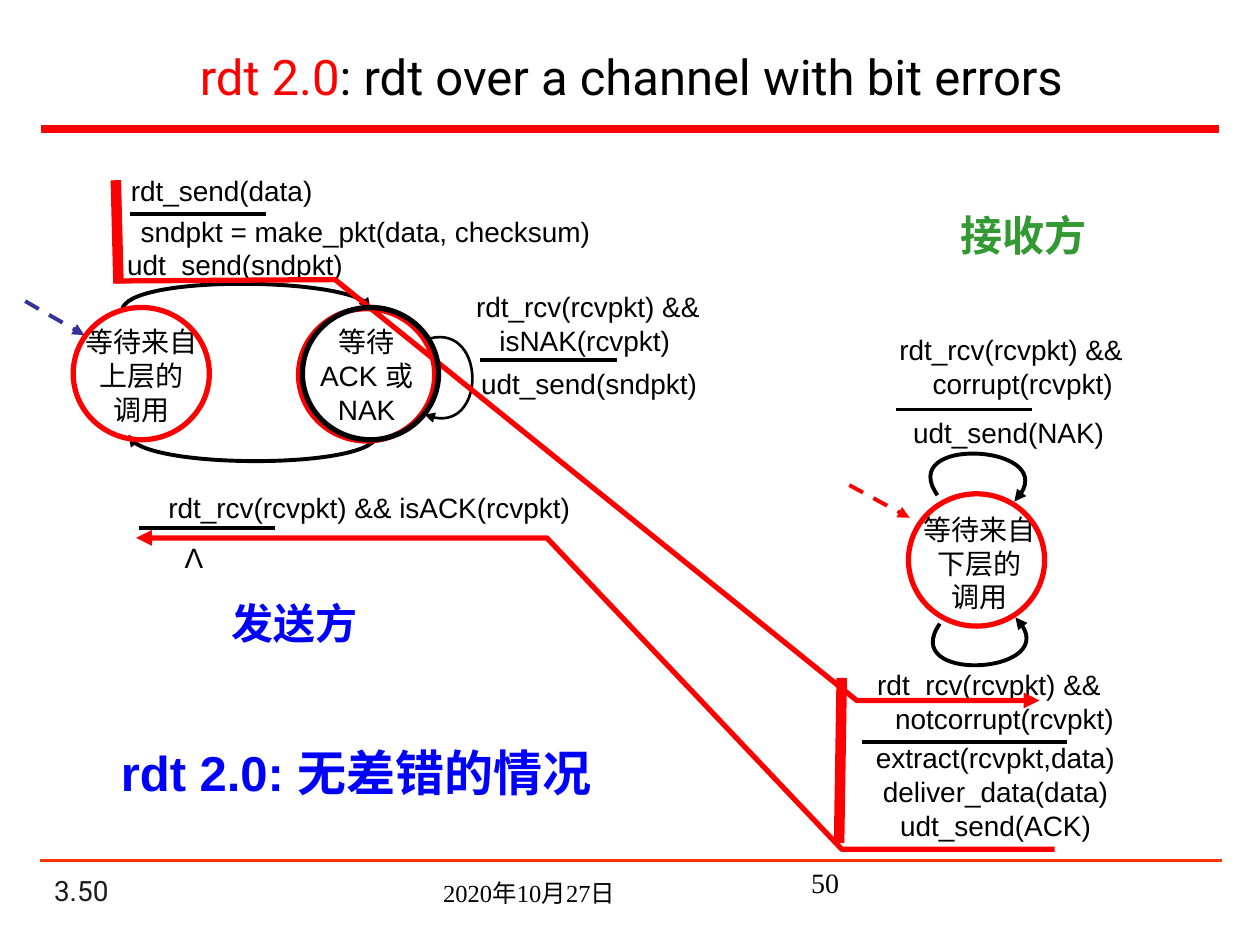
"""Build the rdt 2.0 state machine slide for the error-free case."""

from lxml.etree import SubElement
from pptx import Presentation
from pptx.dml.color import RGBColor
from pptx.enum.dml import MSO_LINE_DASH_STYLE as Dash
from pptx.enum.shapes import MSO_CONNECTOR as Connector, MSO_SHAPE as Shape
from pptx.enum.text import MSO_ANCHOR as Anchor, PP_ALIGN as Align
from pptx.oxml.ns import qn
from pptx.util import Pt

BLACK = RGBColor(0x00, 0x00, 0x00)
WHITE = RGBColor(0xFF, 0xFF, 0xFF)
RED = RGBColor(0xFF, 0x00, 0x00)
ORANGE = RGBColor(0xFF, 0x33, 0x00)
BLUE = RGBColor(0x00, 0x00, 0xFF)
INDIGO = RGBColor(0x33, 0x33, 0x99)
GREEN = RGBColor(0x33, 0x99, 0x33)
CHARCOAL = RGBColor(0x1C, 0x1C, 0x1C)

STATE_SIZE = (77.8, 75.6)
WAIT_CALL = (41.8, 175.7)
WAIT_ACK = (170.6, 176.4)
ACTIVE_ACK = (172.8, 175.7)
WAIT_BELOW = (519.1, 282.2)


def add_text(slide, box, lines, size=16, font="Arial", color=BLACK, bold=False,
             align=Align.CENTER, anchor=Anchor.TOP, wrap=True, indent=0):
    """Add a text box; indent applies to the lines after the first."""
    frame = slide.shapes.add_textbox(*map(Pt, box)).text_frame
    frame.word_wrap = wrap
    frame.vertical_anchor = anchor
    for index, line in enumerate(lines):
        paragraph = frame.paragraphs[0] if index == 0 else frame.add_paragraph()
        if index and indent:
            properties = paragraph._p.get_or_add_pPr()
            properties.set("marL", str(Pt(indent)))
            properties.set("indent", "0")
        paragraph.alignment = align
        paragraph.font.size = Pt(size)
        paragraph.font.name = font
        paragraph.font.bold = bold
        paragraph.font.color.rgb = color
        paragraph.add_run().text = line
    return frame


def style_line(shape, color, width, arrow=False):
    """Set the stroke of a shape and its optional end arrow."""
    shape.line.color.rgb = color
    shape.line.width = Pt(width)
    if arrow:
        stroke = shape._element.spPr.find(qn("a:ln"))
        SubElement(stroke, qn("a:tailEnd"), type="triangle")


def add_line(slide, start, end, color=BLACK, width=2.25, dashed=False):
    """Add a straight line, with an arrowhead when dashed."""
    line = slide.shapes.add_connector(
        Connector.STRAIGHT, *map(Pt, (*start, *end)))
    line.line.color.rgb = color
    if dashed:
        line.line.dash_style = Dash.DASH
    style_line(line, color, width, arrow=dashed)
    SubElement(line._element.spPr, qn("a:effectLst"))


def add_route(slide, points, color, width):
    """Add an open polyline that ends in an arrowhead."""
    start, *rest = [(Pt(x), Pt(y)) for x, y in points]
    builder = slide.shapes.build_freeform(*start)
    builder.add_line_segments(rest, close=False)
    route = builder.convert_to_shape()
    route.shadow.inherit = False
    route.fill.background()
    style_line(route, color, width, arrow=True)
    return route


def add_transition(slide, points, width=2.25):
    """Add a black Bezier arrow from its four control points."""
    route = add_route(slide, points, BLACK, width)
    outline = route._element.xpath(".//a:path")[0]
    segments = outline.findall(qn("a:lnTo"))
    curve = SubElement(outline, qn("a:cubicBezTo"))
    for segment in segments:
        curve.append(segment[0])
        outline.remove(segment)


def add_state(slide, position, color=BLACK, width=1.5, filled=False):
    """Add a state circle, or only its ring."""
    state = slide.shapes.add_shape(
        Shape.OVAL, *map(Pt, (*position, *STATE_SIZE)))
    state.shadow.inherit = False
    if filled:
        state.fill.solid()
        state.fill.fore_color.rgb = WHITE
    else:
        state.fill.background()
    style_line(state, color, width)


def add_frame(slide):
    """Add the title, the rules and the footer."""
    add_text(slide, (23.8, 504, 149.8, 18), ["3.50"], font="Roboto",
             color=CHARCOAL, align=Align.LEFT, anchor=Anchor.BOTTOM)
    rule = slide.shapes.add_shape(Shape.RECTANGLE, Pt(23.8), Pt(72), Pt(672.5), Pt(3.6))
    rule.shadow.inherit = False
    rule.fill.solid()
    rule.fill.fore_color.rgb = RED
    style_line(rule, RED, 1)
    add_line(slide, (23, 491.8), (698.4, 491.8), ORANGE, 1.5)
    add_text(slide, (246.2, 498.2, 275.8, 24.5), ["2020年10月27日"], 14,
             "Times New Roman", align=Align.LEFT)
    add_text(slide, (456.5, 491, 228.2, 36), ["50"],
             font="Times New Roman", align=Align.LEFT)
    title = add_text(slide, (28.8, 18, 663.8, 50.4), ["rdt 2.0"], 28, "Roboto",
                     anchor=Anchor.MIDDLE).paragraphs[0]
    title.runs[0].font.color.rgb = RED
    title.add_run().text = ": rdt over a channel with bit errors"


def add_sender(slide):
    """Add the sender's states and transitions."""
    add_state(slide, WAIT_CALL, filled=True)
    add_text(slide, (33.8, 182.2, 94.3, 48.2), ["等待来自", "上层的", "调用"])
    action = add_text(slide, (65.5, 118.8, 286.6, 31.7),
                      ["sndpkt = make_pkt(data, checksum)", "udt_send(sndpkt)"])
    action.paragraphs[1].alignment = Align.LEFT
    add_line(slide, (74.2, 122.4), (151.9, 122.4))
    add_transition(slide, [(69.8, 177.1), (72.7, 157.7), (211.7, 158.4), (211.7, 177.1)])
    add_transition(slide, [(215.3, 248.4), (215.3, 267.1), (77, 268.6), (73.4, 248.4)])
    add_text(slide, (71.3, 276.5, 279.4, 22.3), ["rdt_rcv(rcvpkt) && isACK(rcvpkt)"])
    add_line(slide, (79.2, 301.7), (157, 301.7))
    add_transition(slide, [(242.6, 194.4), (277.2, 181.4), (279.4, 252), (242.6, 236.9)], 1.5)
    add_text(slide, (267.1, 205.9, 139, 31.7), ["udt_send(sndpkt)"])
    add_text(slide, (265, 162, 164.2, 49.7), ["rdt_rcv(rcvpkt) &&", "isNAK(rcvpkt)"],
             align=Align.LEFT, indent=13.3)
    add_line(slide, (274.3, 205.9), (352.8, 205.9))
    add_state(slide, WAIT_ACK, filled=True)
    add_text(slide, (167, 182.2, 85, 48.2), ["等待", "ACK 或 NAK"])
    add_text(slide, (67.7, 95.8, 177.8, 33.8), ["rdt_send(data)"], align=Align.LEFT)
    add_text(slide, (97.9, 305.3, 25.9, 26.6), ["Λ"], wrap=False)


def add_receiver(slide):
    """Add the receiver's state and transitions."""
    add_text(slide, (484.6, 419.8, 168.5, 49),
             ["extract(rcvpkt,data)", "deliver_data(data)", "udt_send(ACK)"])
    add_text(slide, (482.4, 378, 169.9, 55.4),
             ["rdt_rcv(rcvpkt) && ", "notcorrupt(rcvpkt)"], indent=13.3)
    add_line(slide, (492.5, 424.1), (609.8, 424.1))
    add_text(slide, (504.7, 234, 143.3, 20.2), ["udt_send(NAK)"])
    add_text(slide, (504.7, 186.5, 150.5, 24.5),
             ["rdt_rcv(rcvpkt) && ", "corrupt(rcvpkt)"], indent=8.9)
    add_line(slide, (511.9, 234), (589.7, 234))
    add_transition(slide, [(535.7, 283), (511.9, 249.1), (611.3, 254.2), (579.6, 286.6)])
    add_state(slide, WAIT_BELOW, filled=True)
    add_text(slide, (512.6, 289.4, 94.3, 48.2), ["等待来自", "下层的", "调用"])
    add_transition(slide, [(537.1, 356.4), (513.4, 390.2), (612, 385.2), (580.3, 352.8)])
    add_line(slide, (485.3, 277.2), (519.8, 295.9), RED, dashed=True)
    add_state(slide, WAIT_BELOW, RED, 3)


def add_error_free_flow(slide):
    """Add the red trace of the error-free exchange and the active states."""
    add_line(slide, (66.2, 103), (67.7, 162), RED, 6)
    add_route(slide, [(66.2, 160.6), (191.5, 159.8), (489.6, 400.3), (594, 400.3)], RED, 3)
    add_state(slide, WAIT_ACK, RED, 3)
    add_line(slide, (481, 387.4), (479.5, 481.7), RED, 6)
    add_route(slide, [(602.6, 485.3), (481, 485.3), (312.5, 307.4), (77.8, 307.4)], RED, 3)
    add_line(slide, (14.4, 172.1), (48.2, 191.5), INDIGO, dashed=True)
    add_state(slide, WAIT_CALL, RED, 3)
    add_state(slide, ACTIVE_ACK, BLACK, 3)


def add_captions(slide):
    """Name both sides and the case shown."""
    add_text(slide, (124.6, 337.7, 87.1, 36), ["发送方"], 24, color=BLUE, bold=True, wrap=False)
    add_text(slide, (541.4, 115.9, 87.1, 36), ["接收方"], 24, color=GREEN, bold=True, wrap=False)
    add_text(slide, (59.8, 420.5, 287.3, 41), ["rdt 2.0: 无差错的情况"], 28, color=BLUE, bold=True)


def main():
    """Build and save the slide."""
    presentation = Presentation()
    presentation.slide_width, presentation.slide_height = Pt(720), Pt(540)
    slide = presentation.slides.add_slide(presentation.slide_layouts[6])
    add_frame(slide)
    add_sender(slide)
    add_receiver(slide)
    add_error_free_flow(slide)
    add_captions(slide)
    presentation.save("out.pptx")


if __name__ == "__main__":
    main()
